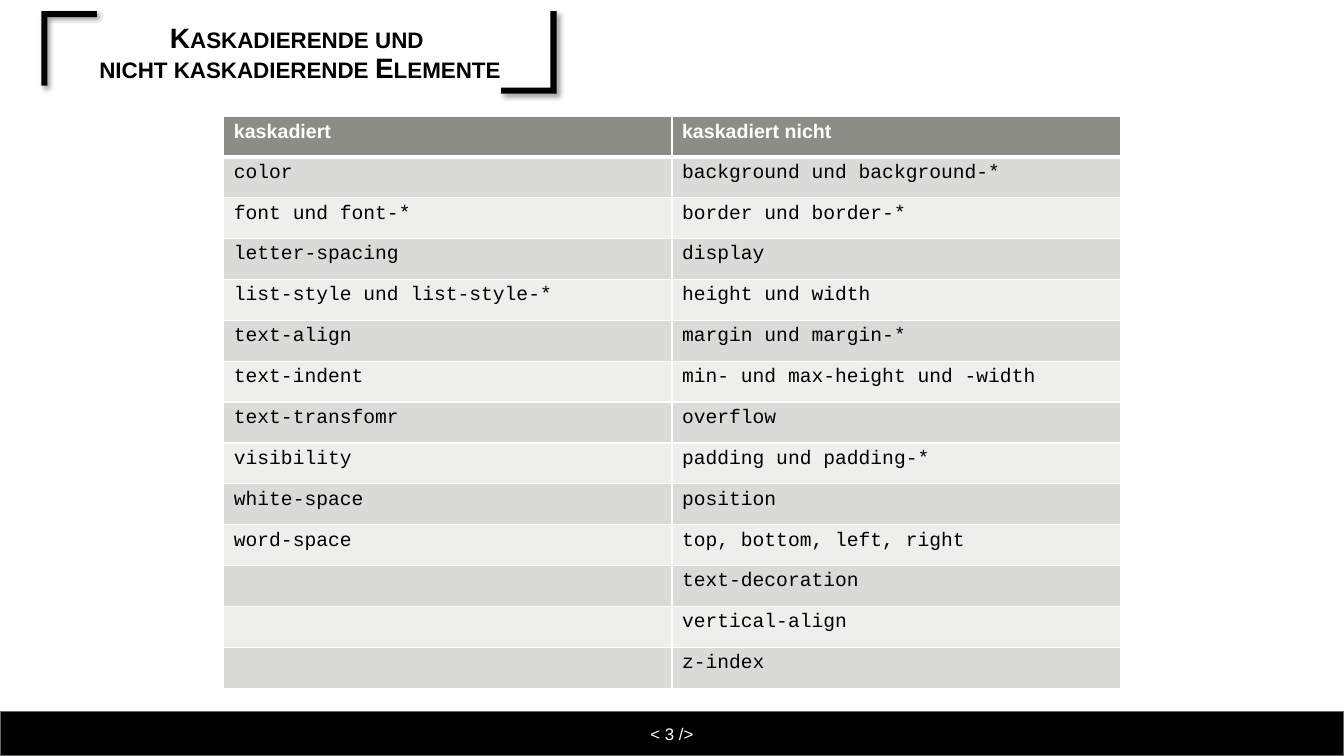
from lxml import etree
from pptx import Presentation
from pptx.dml.color import RGBColor
from pptx.enum.shapes import MSO_SHAPE
from pptx.enum.text import MSO_ANCHOR, PP_ALIGN
from pptx.oxml import parse_xml
from pptx.oxml.ns import nsdecls, qn
from pptx.util import Inches, Pt

RECTANGLE = MSO_SHAPE.RECTANGLE
MIDDLE = MSO_ANCHOR.MIDDLE
CENTER = PP_ALIGN.CENTER

BLACK = RGBColor(0x00, 0x00, 0x00)
WHITE = RGBColor(0xFF, 0xFF, 0xFF)
FOOTER_LINE = RGBColor(0x68, 0x68, 0x63)
HEADER_FILL = RGBColor(0x8C, 0x8D, 0x86)
BAND_FILLS = (RGBColor(0xDA, 0xDB, 0xD9), RGBColor(0xEE, 0xEE, 0xED))

TEXT_FONT = "Arial"
CODE_FONT = "Courier New"
BRACKET_THICKNESS = 0.06

HEADINGS = ("kaskadiert", "kaskadiert nicht")
ROWS = (
    ("color", "background und background-*"),
    ("font und font-*", "border und border-*"),
    ("letter-spacing", "display"),
    ("list-style und list-style-*", "height und width"),
    ("text-align", "margin und margin-*"),
    ("text-indent", "min- und max-height und -width"),
    ("text-transfomr", "overflow"),
    ("visibility", "padding und padding-*"),
    ("white-space", "position"),
    ("word-space", "top, bottom, left, right"),
    ("", "text-decoration"),
    ("", "vertical-align"),
    ("", "z-index"),
)


def format_runs(paragraph, name, size, color, bold=False):
    for run in paragraph.runs:
        run.font.name = name
        run.font.size = Pt(size)
        run.font.color.rgb = color
        run.font.bold = bold


def add_shadow(shape):
    shape._element.spPr.append(parse_xml(
        f'<a:effectLst {nsdecls("a")}>'
        f'<a:outerShdw blurRad="{Pt(4)}" dist="{Pt(3)}" dir="2700000" '
        'algn="tl" rotWithShape="0"><a:srgbClr val="000000">'
        '<a:alpha val="40000"/></a:srgbClr></a:outerShdw></a:effectLst>'))


def add_bracket(slide, corner_x, corner_y, width, height):
    """Corner bracket; negative width and height turn it to the lower right."""
    thick_x = BRACKET_THICKNESS if width > 0 else -BRACKET_THICKNESS
    thick_y = BRACKET_THICKNESS if height > 0 else -BRACKET_THICKNESS
    offsets = ((0, 0), (width, 0), (width, thick_y), (thick_x, thick_y),
               (thick_x, height), (0, height))
    points = [(Inches(corner_x + x), Inches(corner_y + y)) for x, y in offsets]
    builder = slide.shapes.build_freeform(*points[0])
    builder.add_line_segments(points[1:], close=True)
    bracket = builder.convert_to_shape()
    bracket.fill.solid()
    bracket.fill.fore_color.rgb = BLACK
    bracket.line.fill.background()
    add_shadow(bracket)


def add_title(slide, left, top, width, height):
    # Brackets around the title
    add_bracket(slide, left - 0.12, top - 0.13, 0.55, 0.74)
    add_bracket(slide, left + width + 0.1, top + height + 0.09, -0.55, -0.82)

    # Title text
    title = slide.shapes.title
    title.left, title.top = Inches(left), Inches(top)
    title.width, title.height = Inches(width), Inches(height)
    text_frame = title.text_frame
    text_frame.text = "Kaskadierende und \vnicht kaskadierende Elemente"
    text_frame.vertical_anchor = MIDDLE
    paragraph = text_frame.paragraphs[0]
    paragraph.alignment = CENTER
    paragraph.line_spacing = 0.9
    format_runs(paragraph, TEXT_FONT, 20, BLACK, bold=True)
    for run in paragraph.runs:
        run.font._element.set("cap", "small")


def add_footer(slide, left, top, width, height):
    footer = slide.shapes.add_shape(
        RECTANGLE, Inches(left), Inches(top), Inches(width), Inches(height))
    footer.shadow.inherit = False
    footer.fill.solid()
    footer.fill.fore_color.rgb = BLACK
    footer.line.color.rgb = FOOTER_LINE
    footer.line.width = Pt(1)
    text_frame = footer.text_frame
    text_frame.text = "< 3 />"
    text_frame.vertical_anchor = MIDDLE
    text_frame.margin_top = text_frame.margin_bottom = Inches(0.12)
    paragraph = text_frame.paragraphs[0]
    paragraph.alignment = CENTER
    format_runs(paragraph, TEXT_FONT, 12, WHITE)


def set_borders(cell, top, bottom):
    properties = cell._tc.get_or_add_tcPr()
    for side, width in (("L", 1), ("R", 1), ("T", top), ("B", bottom)):
        line = etree.SubElement(properties, qn(f"a:ln{side}"), w=str(Pt(width)))
        fill = etree.SubElement(line, qn("a:solidFill"))
        etree.SubElement(fill, qn("a:srgbClr"), val=str(WHITE))


def add_property_table(slide, left, top, width, height):
    contents = (HEADINGS,) + ROWS
    table = slide.shapes.add_table(
        len(contents), len(HEADINGS), Inches(left), Inches(top),
        Inches(width), Inches(height)).table
    for row_index, texts in enumerate(contents):
        is_header = row_index == 0
        for column_index, text in enumerate(texts):
            cell = table.cell(row_index, column_index)
            # Thick rule between header and body
            set_borders(cell, top=3 if row_index == 1 else 1,
                        bottom=3 if is_header else 1)
            cell.fill.solid()
            cell.fill.fore_color.rgb = (
                HEADER_FILL if is_header else BAND_FILLS[(row_index - 1) % 2])
            cell.text_frame.text = text
            format_runs(cell.text_frame.paragraphs[0],
                        TEXT_FONT if is_header else CODE_FONT, 14,
                        WHITE if is_header else BLACK, bold=is_header)


def main():
    presentation = Presentation()
    presentation.slide_width = Inches(13.33)
    presentation.slide_height = Inches(7.5)
    slide = presentation.slides.add_slide(presentation.slide_layouts[5])
    add_title(slide, 0.53, 0.24, 4.89, 0.6)
    add_footer(slide, 0, 7.06, 13.33, 0.44)
    add_property_table(slide, 2.22, 1.15, 8.89, 5.68)
    presentation.save("out.pptx")


if __name__ == "__main__":
    main()
